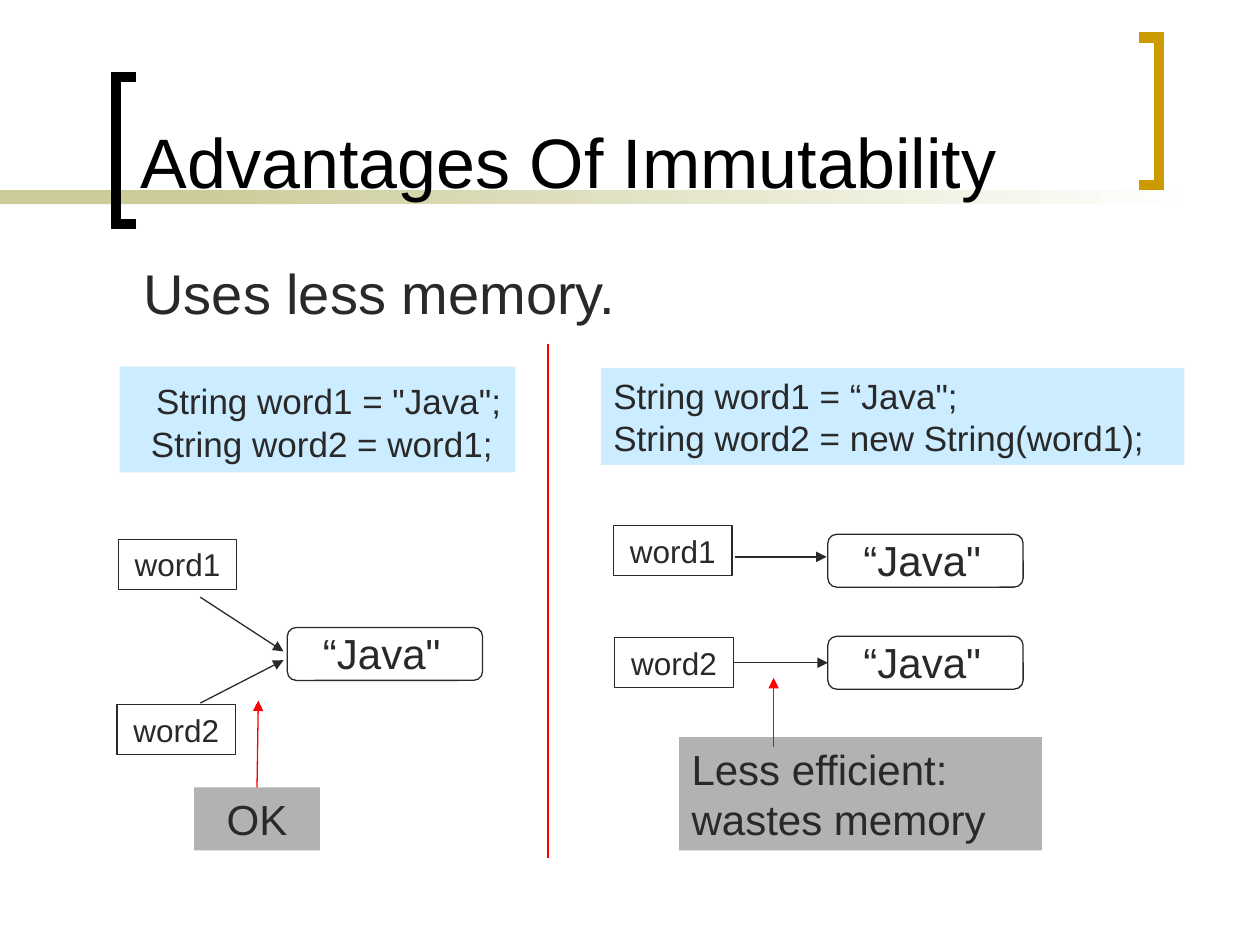
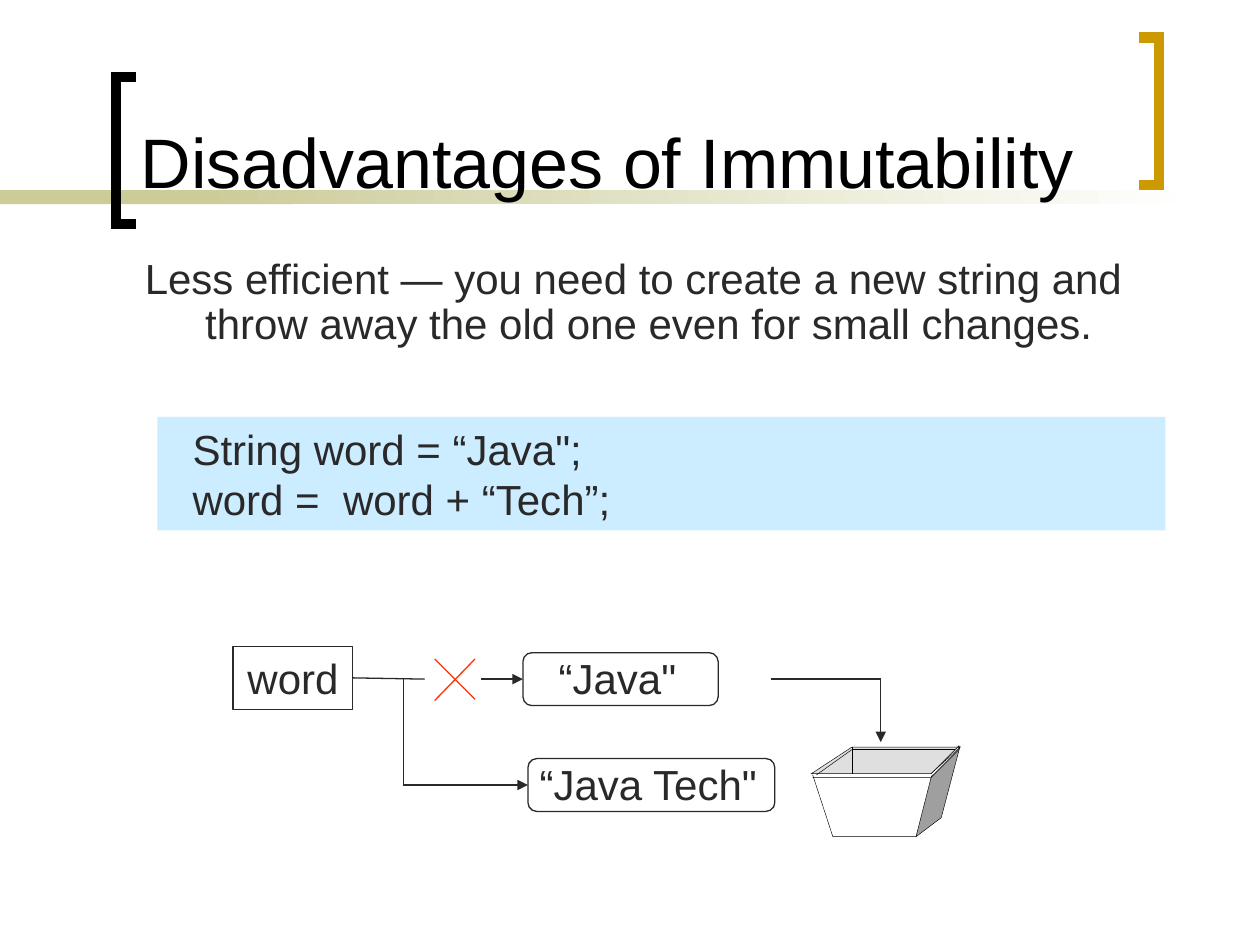
from lxml.etree import SubElement
from pptx import Presentation
from pptx.dml.color import RGBColor
from pptx.enum.shapes import MSO_CONNECTOR, MSO_SHAPE
from pptx.enum.text import MSO_ANCHOR, PP_ALIGN
from pptx.oxml.ns import qn
from pptx.util import Pt

PX = 9144


class Theme:
    font = "Arial"
    ink = RGBColor.from_string("292929")
    black = RGBColor.from_string("000000")
    white = RGBColor.from_string("FFFFFF")
    olive = RGBColor.from_string("CCCC99")
    gold = RGBColor.from_string("CC9900")
    sky = RGBColor.from_string("CCECFF")
    gray = RGBColor.from_string("B2B2B2")
    light = RGBColor.from_string("DFDFDF")
    dark = RGBColor.from_string("9F9F9F")
    red = RGBColor.from_string("FF0000")
    cross = RGBColor.from_string("FF3300")
    title, lead, large, code, small = 40, 32, 24, 20, 18
    thick, thin, hair = 6, 0.75, 0.25


def box(page, at, text="", size=Theme.large, fill=None, line=None, color=Theme.ink,
        align=PP_ALIGN.LEFT, anchor=MSO_ANCHOR.TOP, inset=(10, 5, 10, 5),
        kind=MSO_SHAPE.RECTANGLE):
    shape = page.shapes.add_shape(kind, *[n * PX for n in at])
    shape.shadow.inherit = False
    if fill is None:
        shape.fill.background()
    else:
        shape.fill.solid()
        shape.fill.fore_color.rgb = fill
    if line is None:
        shape.line.fill.background()
    else:
        shape.line.color.rgb = line
        shape.line.width = Pt(Theme.thin)
    if kind == MSO_SHAPE.ROUNDED_RECTANGLE:
        shape.adjustments[0] = 0.17
    frame = shape.text_frame
    frame.word_wrap = True
    frame.vertical_anchor = anchor
    (frame.margin_left, frame.margin_top,
     frame.margin_right, frame.margin_bottom) = [n * PX for n in inset]
    frame.text = text
    for para in frame.paragraphs:
        para.alignment = align
        for run in para.runs:
            run.font.name = Theme.font
            run.font.size = Pt(size)
            run.font.color.rgb = color
    return shape


def link(page, start, end, color=Theme.ink, arrow=True, width=Theme.thin):
    line = page.shapes.add_connector(
        MSO_CONNECTOR.STRAIGHT, *[n * PX for n in start + end])
    line.line.color.rgb = color
    line.line.width = Pt(width)
    SubElement(line._element.spPr, qn("a:effectLst"))
    if arrow:
        SubElement(line.line._get_or_add_ln(), qn("a:tailEnd"), type="triangle")
    return line


deck = Presentation()
deck.slide_width, deck.slide_height = 1000 * PX, 750 * PX

frame_art = [
    ([(108, 178), (92, 178), (92, 61), (108, 61)], None, Theme.black, Theme.thick),
    ([(904, 30), (920, 30), (920, 147), (904, 147)], None, Theme.gold, Theme.thick),
]
bin_art = [
    ([(644, 614), (676, 593), (762, 593), (739, 614), (644, 614)],
     Theme.light, Theme.black, Theme.hair),
    ([(761, 594), (762, 592), (747, 649), (727, 664), (739, 617), (740, 615)],
     Theme.dark, Theme.black, Theme.hair),
    ([(645, 615), (661, 664), (727, 664)], None, Theme.black, Theme.hair),
    ([(645, 617), (739, 617), (761, 595), (761, 592), (739, 614)],
     None, Theme.black, Theme.hair),
]

pages = []
for title, art in (("Advantages Of Immutability", []),
                   ("Disadvantages of Immutability", bin_art)):
    page = deck.slides.add_slide(deck.slide_layouts[6])
    box(page, (0, 151, 233, 11), fill=Theme.olive)
    fade = box(page, (158, 151, 792, 11))
    fade.fill.gradient()
    fade.fill.gradient_angle = 0
    for stop, color in zip(fade.fill.gradient_stops, (Theme.olive, Theme.white)):
        stop.color.rgb = color
    for points, fill, color, width in frame_art + art:
        pen = page.shapes.build_freeform(*points[0], scale=PX)
        pen.add_line_segments(points[1:], close=points[0] == points[-1])
        shape = pen.convert_to_shape()
        shape.shadow.inherit = False
        if fill is None:
            shape.fill.background()
        else:
            shape.fill.solid()
            shape.fill.fore_color.rgb = fill
        shape.line.color.rgb = color
        shape.line.width = Pt(width)
        SubElement(shape.line._get_or_add_ln(), qn("a:miter"), lim="800000")
    box(page, (102, 11, 783, 155), title, Theme.title, color=Theme.black,
        anchor=MSO_ANCHOR.BOTTOM)
    pages.append(page)
pros, cons = pages

word = dict(line=Theme.ink, align=PP_ALIGN.CENTER)
pill = dict(word, anchor=MSO_ANCHOR.MIDDLE, inset=(0, 0, 5, 2),
            kind=MSO_SHAPE.ROUNDED_RECTANGLE)

box(pros, (104, 200, 838, 75), "Uses less memory.", Theme.lead)
share = box(pros, (95, 291, 314, 84), 'String word1 = "Java";\nString word2 = word1;',
            Theme.code, Theme.sky, inset=(10, 10, 5, 5))
for para, indent in zip(share.text_frame.paragraphs, (19, 15)):
    para._p.get_or_add_pPr().set("marL", str(indent * PX))
share.text_frame.paragraphs[1].space_before = Pt(1)
box(pros, (477, 292, 463, 77),
    'String word1 = “Java";\nString word2 = new String(word1);', Theme.code, Theme.sky)
link(pros, (435, 273), (435, 681), Theme.red, arrow=False)

words = [box(pros, (left, top, 94, 40), text, Theme.small, **word)
         for left, top, text in ((94, 428, "word1"), (93, 559, "word2"),
                                 (487, 417, "word1"), (488, 506, "word2"))]
javas = [box(pros, (left, top, 155, 42), '“Java"', **pill)
         for left, top in ((228, 498), (657, 424), (657, 505))]
good = box(pros, (154, 625, 100, 50), "OK", fill=Theme.gray, align=PP_ALIGN.CENTER)
box(pros, (539, 585, 288, 90), "Less efficient: wastes memory", fill=Theme.gray)

link(pros, (159, 474), (225, 517))
link(pros, (159, 558), (225, 524))
link(pros, (583, 442), (656, 442))
line = link(pros, (582, 526), (657, 526))
line.begin_connect(words[3], 3)
line.end_connect(javas[2], 1)
link(pros, (204, 625), (205, 556), Theme.red).begin_connect(good, 0)
link(pros, (614, 593), (614, 538), Theme.red)

lead = box(cons, (104, 200, 838, 100),
           "Less efficient — you need to create a new string and "
           "throw away the old one even for small changes.")
para = lead.text_frame.paragraphs[0]
para.line_spacing = 0.9
props = para._p.get_or_add_pPr()
props.set("marL", str(49 * PX))
props.set("indent", str(-48 * PX))
code = box(cons, (125, 331, 800, 90), 'String word = “Java";\nword =  word + “Tech”;',
           fill=Theme.sky)
for para in code.text_frame.paragraphs:
    para._p.get_or_add_pPr().set("marL", str(18 * PX))

name = box(cons, (185, 513, 95, 50), "word", **word)
old = box(cons, (415, 518, 155, 42), '“Java"', **pill)
new = box(cons, (419, 602, 196, 42), '“Java Tech"', **pill)

link(cons, (280, 538), (337, 539), arrow=False).begin_connect(name, 3)
link(cons, (382, 539), (415, 539)).end_connect(old, 1)
link(cons, (320, 539), (320, 623), arrow=False)
link(cons, (320, 623), (419, 623)).end_connect(new, 1)
link(cons, (612, 539), (699, 539), arrow=False)
link(cons, (699, 539), (699, 589))
for start, end in (((345, 556), (377, 523)), ((345, 523), (377, 555))):
    link(cons, start, end, Theme.cross, arrow=False)
for start, end in (((676, 593), (676, 614)), ((676, 595), (758, 595)),
                   ((648, 615), (676, 595))):
    link(cons, start, end, Theme.black, arrow=False, width=Theme.hair)

deck.save("out.pptx")
